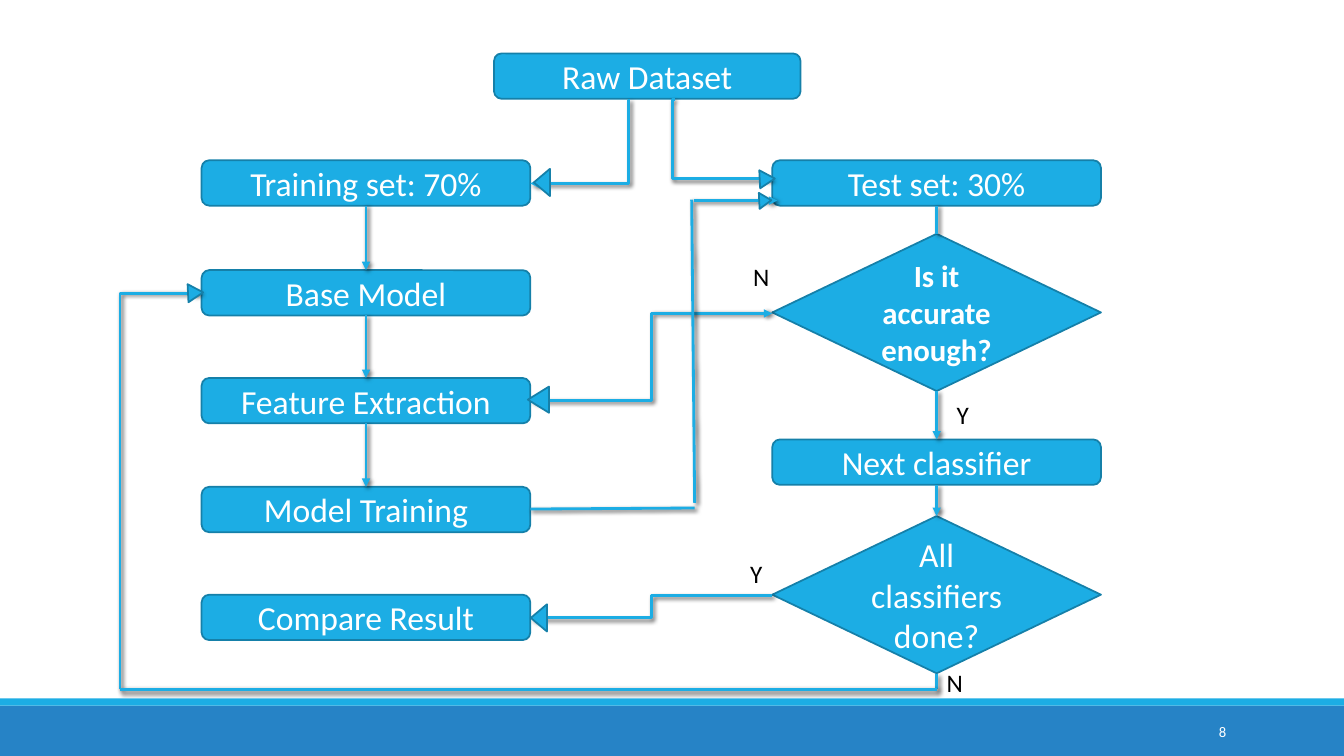
"""Build a flowchart slide of the classifier training and testing process."""
import pptx
import pptx.dml.color
import pptx.enum.shapes
import pptx.enum.text
import pptx.oxml
import pptx.oxml.ns
import pptx.util

Inches, Pt = pptx.util.Inches, pptx.util.Pt
MSO = pptx.enum.shapes.MSO_SHAPE
LINK = pptx.enum.shapes.MSO_CONNECTOR
ALIGN = pptx.enum.text.PP_ALIGN
ANCHOR = pptx.enum.text.MSO_ANCHOR

SKY, EDGE, BLUE, WHITE, BLACK = "1CADE4", "1580A9", "2683C6", "FFFFFF", "000000"
LEFT, RIGHT, BOX_W, BOX_H, DIAMOND_H = 2, 7.66, 3.26, 0.45, 1.56
TOP, BOTTOM = 0, 2

BANDS = [(7, 0.5, BLUE), (6.93, 0.07, SKY)]
BOXES = [
    ("Raw Dataset", 4.9, 0.53, 3.04),
    ("Training set: 70%", LEFT, 1.59, BOX_W),
    ("Base Model", LEFT, 2.68, BOX_W),
    ("Feature Extraction", LEFT, 3.75, BOX_W),
    ("Model Training", LEFT, 4.83, BOX_W),
    ("Compare Result", LEFT, 5.9, BOX_W),
    ("Test set: 30%", RIGHT, 1.59, BOX_W),
    ("Next classifier", RIGHT, 4.36, BOX_W),
]
DECISIONS = [
    ("Is it accurate enough?", 2.32, {"size": Pt(22), "bold": True}),
    ("All classifiers done?", 5.12, {"size": Pt(24)}),
]
STEPS = [
    ("Training set: 70%", "Base Model", "tail"),
    ("Base Model", "Feature Extraction", "tail"),
    ("Feature Extraction", "Model Training", "tail"),
    ("Test set: 30%", "Is it accurate enough?", ""),
    ("Is it accurate enough?", "Next classifier", "tail"),
    ("Next classifier", "All classifiers done?", "tail"),
]
ELBOWS = [
    ((6.25, 1), (5.26, 1.82), 0.015, "tail"),
    ((6.7, 0.99), (7.66, 1.77), -0.03, ""),
    ((7.66, 3.11), (5.26, 3.97), 0.5, "head tail"),
    ((7.66, 5.91), (5.26, 6.13), 0.5, "tail"),
    ((1.19, 6.84), (2, 2.91), 0, "tail"),
]
LINES = [
    ((9.29, 6.69), (9.29, 6.84), ""),
    ((9.29, 6.84), (1.19, 6.84), ""),
    ((5.26, 5.05), (6.89, 5.04), ""),
    ((6.86, 1.98), (6.89, 4.99), ""),
    ((6.88, 1.99), (7.71, 1.99), "tail"),
]
LABELS = [("N", 7.37, 2.54, 0.35), ("Y", 9.39, 3.91, 0.26),
          ("Y", 7.34, 5.49, 0.32), ("N", 9.29, 6.57, 0.26)]
ARROWHEADS = [
    (5.24, 1.73, 0.27, 0.16, 270),
    (7.52, 1.7, 0.18, 0.15, 87.1),
    (7.51, 1.93, 0.16, 0.12, 87.1),
    (5.21, 3.86, 0.26, 0.21, 270),
    (1.85, 2.83, 0.18, 0.15, 87.1),
    (5.21, 6.05, 0.27, 0.16, 270),
]
SHADOW = (
    '<a:effectLst %s><a:outerShdw blurRad="38100" dist="25400" dir="2700000" '
    'rotWithShape="0"><a:srgbClr val="000000"><a:alpha val="60000"/></a:srgbClr>'
    '</a:outerShdw></a:effectLst>' % pptx.oxml.ns.nsdecls("a"))


def rgb(value):
    return pptx.dml.color.RGBColor.from_string(value)


def write(sp, text, color, align, anchor, **font):
    tf = sp.text_frame
    tf.word_wrap = True
    tf.vertical_anchor = anchor
    p = tf.paragraphs[0]
    p.alignment = align
    r = p.add_run()
    r.text = text
    r.font.color.rgb = rgb(color)
    for name, value in {"name": "Calibri", **font}.items():
        setattr(r.font, name, value)


def add_shape(kind, x, y, w, h, fill=SKY, edge=EDGE):
    sp = s.shapes.add_shape(kind, Inches(x), Inches(y), Inches(w), Inches(h))
    sp.shadow.inherit = False
    sp.fill.solid()
    sp.fill.fore_color.rgb = rgb(fill)
    if edge:
        sp.line.color.rgb = rgb(edge)
        sp.line.width = Pt(1.25)
    else:
        sp.line.fill.background()
    return sp


def add_node(kind, text, x, y, w, h, **font):
    nodes[text] = add_shape(kind, x, y, w, h)
    write(nodes[text], text, WHITE, ALIGN.CENTER, ANCHOR.MIDDLE, **font)


def add_text(text, x, y, w, color, align, anchor, size):
    sp = s.shapes.add_textbox(Inches(x), Inches(y), Inches(w), Inches(0.4))
    write(sp, text, color, align, anchor, size=Pt(size))


def add_link(kind, start, end, arrows):
    cx = s.shapes.add_connector(kind, *map(Inches, start + end))
    cx.line.color.rgb = rgb(SKY)
    cx.line.width = Pt(2)
    ln = cx.line._get_or_add_ln()
    for side in arrows.split():
        ln.append(pptx.oxml.parse_xml('<a:%sEnd %s type="triangle"/>' % (
            side, pptx.oxml.ns.nsdecls("a"))))
    cx._element.spPr.append(pptx.oxml.parse_xml(SHADOW))
    return cx


prs = pptx.Presentation()
prs.slide_width, prs.slide_height = Inches(13.33), Inches(7.5)
s = prs.slides.add_slide(prs.slide_layouts[6])
nodes = {}

for y, h, color in BANDS:
    add_shape(MSO.RECTANGLE, 0, y, 13.33, h, color, None)
for text, x, y, w in BOXES:
    add_node(MSO.ROUNDED_RECTANGLE, text, x, y, w, BOX_H, size=Pt(24))
for text, y, font in DECISIONS:
    add_node(MSO.DIAMOND, text, RIGHT, y, BOX_W, DIAMOND_H, **font)

for source, target, arrows in STEPS:
    cx = add_link(LINK.STRAIGHT, (0, 0), (1, 1), arrows)
    cx.begin_connect(nodes[source], BOTTOM)
    cx.end_connect(nodes[target], TOP)
for start, end, bend, arrows in ELBOWS:
    cx = add_link(LINK.ELBOW, start, end, arrows)
    geom = cx._element.spPr.find(pptx.oxml.ns.qn("a:prstGeom"))
    guides = geom.get_or_add_avLst()
    guides.append(pptx.oxml.parse_xml('<a:gd %s name="adj1" fmla="val %d"/>' % (
        pptx.oxml.ns.nsdecls("a"), round(bend * 100000))))
for start, end, arrows in LINES:
    add_link(LINK.STRAIGHT, start, end, arrows)

for text, x, y, w in LABELS:
    add_text(text, x, y, w, BLACK, ALIGN.LEFT, ANCHOR.TOP, 18)
for x, y, w, h, angle in ARROWHEADS:
    add_shape(MSO.ISOSCELES_TRIANGLE, x, y, w, h).rotation = angle
add_text("8", 10.83, 7.06, 1.43, WHITE, ALIGN.RIGHT, ANCHOR.MIDDLE, 10.5)

prs.save("out.pptx")
